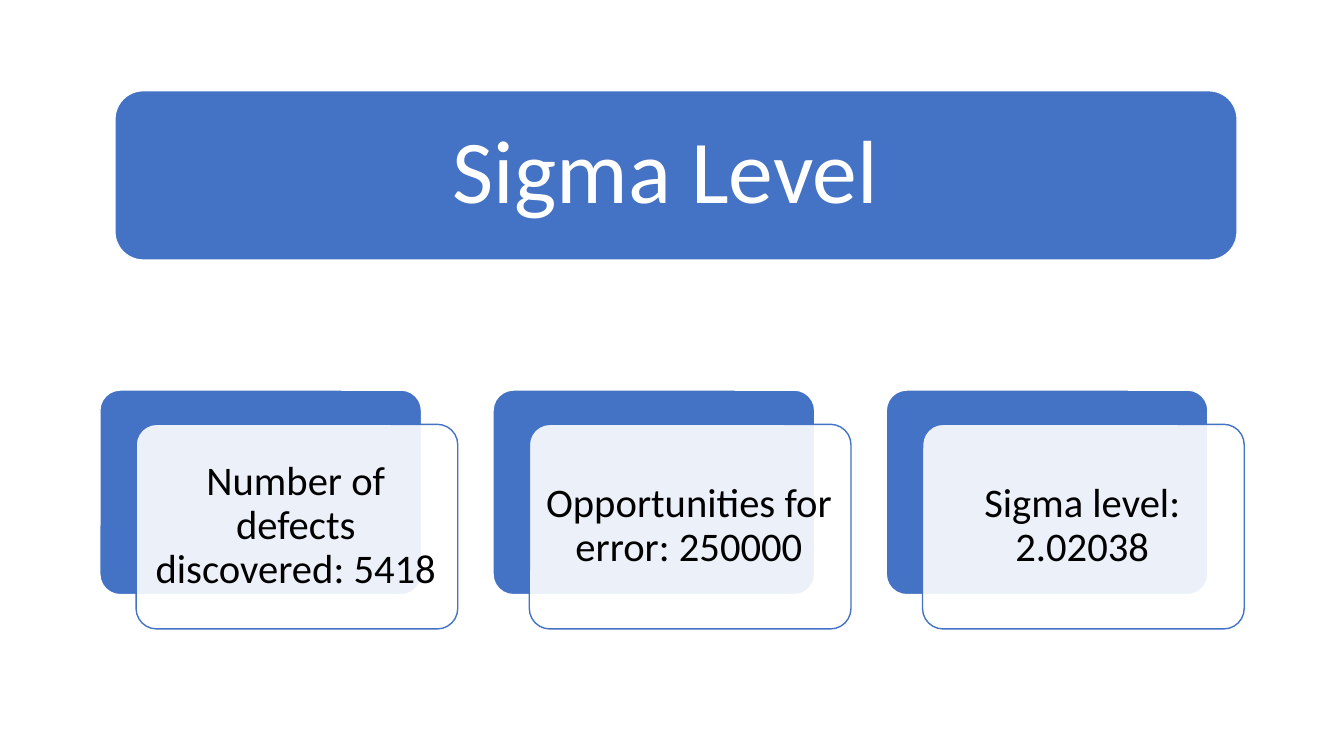
from lxml.etree import SubElement
from pptx import Presentation
from pptx.dml.color import RGBColor
from pptx.enum.shapes import MSO_SHAPE as Shape
from pptx.enum.text import MSO_ANCHOR as Anchor, PP_ALIGN as Align
from pptx.oxml.ns import qn
from pptx.util import Inches, Pt

BLUE, WHITE, BLACK = "4472C4", "FFFFFF", "000000"


def add_panel(box, fill, line, corner):
    panel = slide.shapes.add_shape(Shape.ROUNDED_RECTANGLE, *map(Inches, box))
    panel.shadow.inherit = False
    panel.adjustments[0] = corner
    panel.fill.solid()
    panel.fill.fore_color.rgb = RGBColor.from_string(fill)
    panel.line.color.rgb = RGBColor.from_string(line)
    panel.line.width = Pt(1)
    return panel


def add_label(box, text, size, color, inset):
    frame = slide.shapes.add_textbox(*map(Inches, box)).text_frame
    margins = {f"margin_{side}": Inches(inset) for side in ("left", "top", "right", "bottom")}
    paragraph = frame.paragraphs[0]
    run = paragraph.add_run()
    run.text = text
    formats = (
        (frame, {"word_wrap": True, "vertical_anchor": Anchor.MIDDLE, **margins}),
        (paragraph, {"alignment": Align.CENTER, "line_spacing": 0.9}),
        (run.font, {"name": "Calibri", "size": Pt(size)}),
    )
    for target, values in formats:
        for name, value in values.items():
            setattr(target, name, value)
    run.font.color.rgb = RGBColor.from_string(color)


deck = Presentation()
deck.slide_width, deck.slide_height = Inches(13.33), Inches(7.5)
slide = deck.slides.add_slide(deck.slide_layouts[6])

add_panel((1.14, 0.9, 11.13, 1.68), BLUE, WHITE, 0.167)
add_label((1.22, 0.98, 10.96, 1.51), "Sigma Level ", 64, WHITE, 0.27)

measures = (
    "Number of defects discovered: 5418",
    "Opportunities for error: 250000",
    "Sigma level: 2.02038",
)
for column, measure in enumerate(measures):
    left = 0.99 + 3.9 * column
    add_panel((left, 3.87, 3.19, 2.03), BLUE, WHITE, 0.1)
    card = add_panel((left + 0.36, 4.21, 3.19, 2.03), WHITE, BLUE, 0.1)
    card_color = card.fill._xPr.find(qn("a:solidFill"))[0]
    SubElement(card_color, qn("a:alpha"), val="90000")
    add_label((left + 0.41, 4.27, 3.07, 1.91), measure, 29, BLACK, 0.11)

deck.save("out.pptx")
